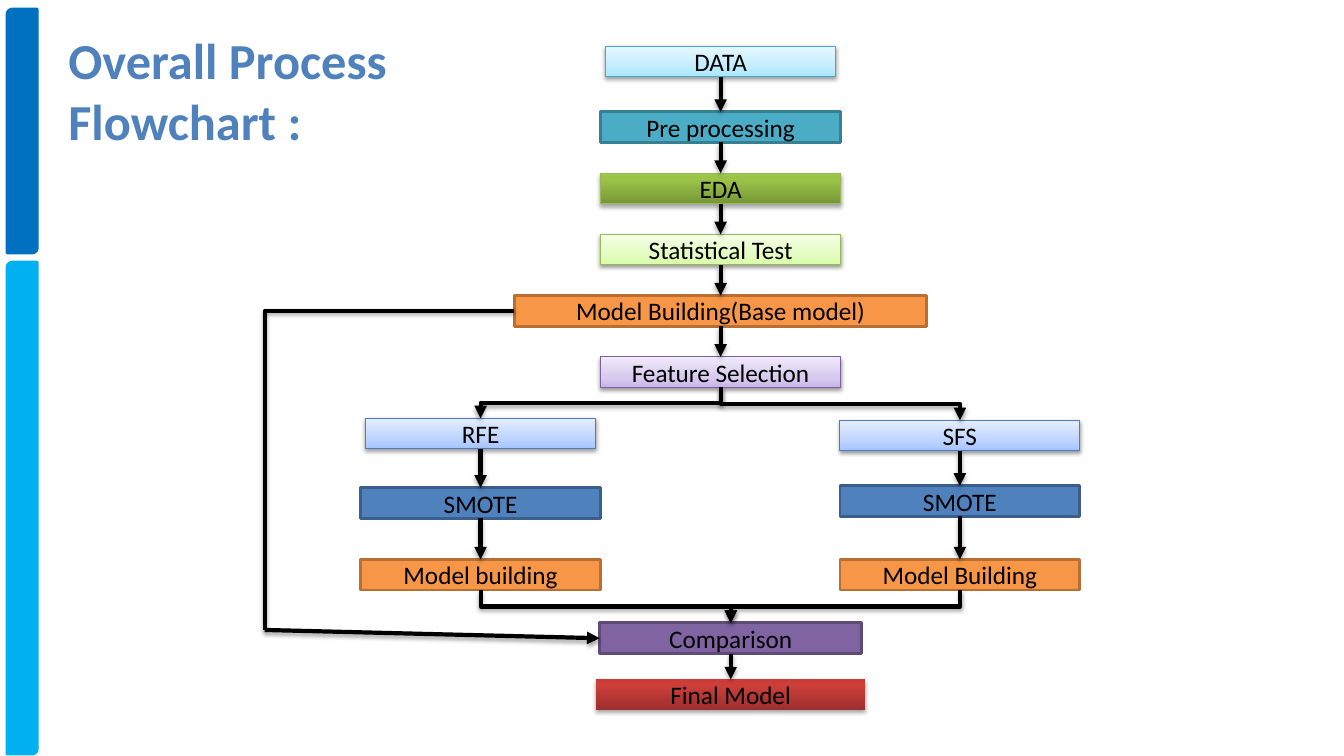
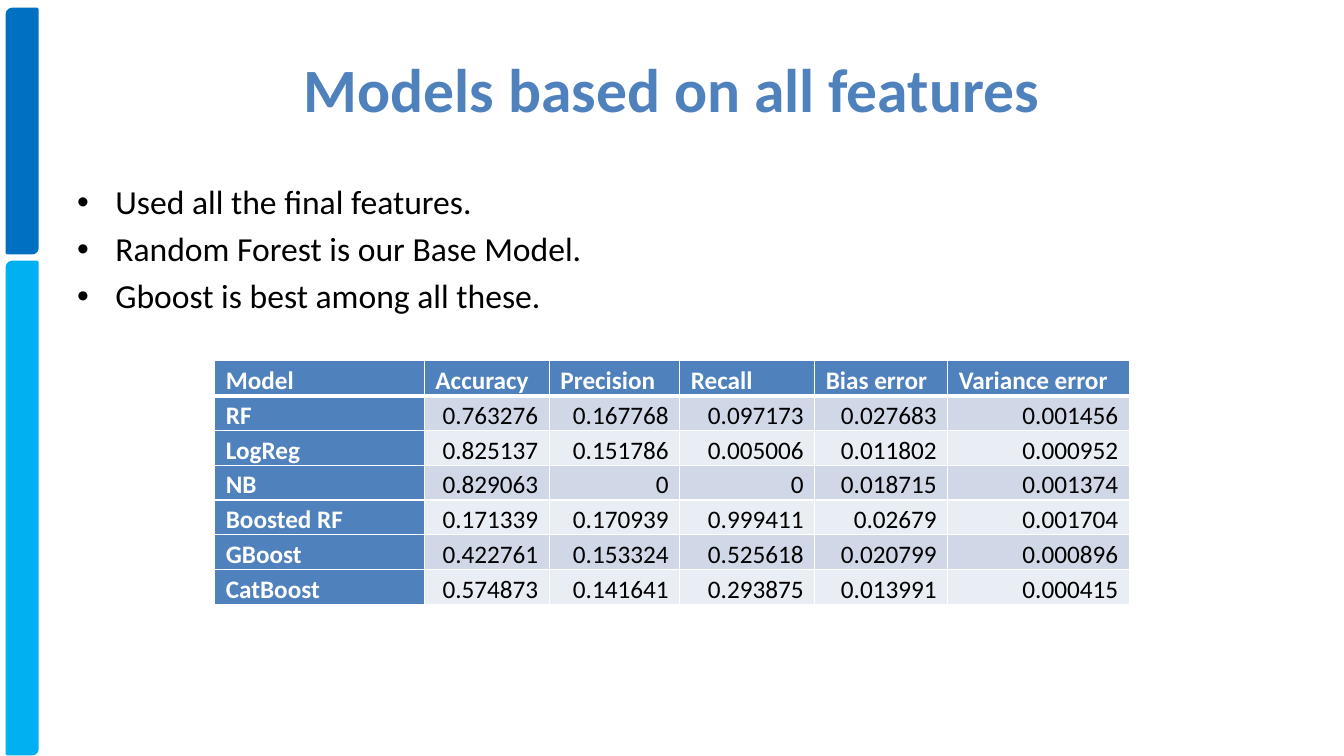
from copy import deepcopy
from dataclasses import dataclass
from typing import Any, NamedTuple, Optional

from lxml.etree import SubElement
from pptx import Presentation
from pptx.dml.color import RGBColor
from pptx.enum.shapes import MSO_CONNECTOR, MSO_SHAPE
from pptx.enum.text import MSO_ANCHOR, PP_ALIGN
from pptx.oxml.ns import qn
from pptx.util import Emu, Inches, Pt

WIDE, HIGH = Inches(13.33), Inches(7.5)
FONT = "Calibri"
HUES = {
    "black": "000000", "white": "FFFFFF", "title": "4F81BD",
    "bar": "0070C0", "sky": "00B0F0", "dark": "D0D8E8", "light": "E9EDF4",
    "teal": "4BACC6", "teal edge": "377F92",
    "orange": "F79646", "orange edge": "B76F34",
    "blue": "4F81BD", "blue edge": "3A5F8C",
    "plum": "8064A2", "plum edge": "5F4A78",
    "aqua low": "A7E6FF", "aqua mid": "C1EDFF", "aqua top": "E7F8FF", "aqua edge": "46AAC5",
    "green low": "779737", "green mid": "9BC348", "green top": "9DC746", "green edge": "98B955",
    "lime low": "DAFDA7", "lime mid": "E4FCC2", "lime top": "F5FFE7", "lime edge": "98B955",
    "lilac low": "C9B5E8", "lilac mid": "D8CBEE", "lilac top": "F0EAF9", "lilac edge": "7D60A0",
    "pale low": "A4C4FF", "pale mid": "BFD4FF", "pale top": "E6EEFF", "pale edge": "4B7EBC",
    "red low": "9C2F2D", "red mid": "CB3E3A", "red top": "CE3B37",
}
STRONG = {"green", "red"}
TALL = 4.05


class Spot(NamedTuple):
    x: int
    y: int


@dataclass(frozen=True)
class Box:
    text: str
    hue: str
    mid: float
    top: float
    wide: float = 17.85

    @property
    def head(self) -> Spot:
        return Spot(col(self.mid), row(self.top))

    @property
    def foot(self) -> Spot:
        return Spot(col(self.mid), row(self.top + TALL))

    @property
    def left(self) -> Spot:
        return Spot(col(self.mid - self.wide / 2), row(self.top + TALL / 2))


@dataclass(frozen=True)
class Bar:
    hue: str
    top: float
    tall: float


def col(share: float) -> Emu:
    return Emu(round(WIDE * share / 100))


def row(share: float) -> Emu:
    return Emu(round(HIGH * share / 100))


def hue(name: str) -> RGBColor:
    return RGBColor.from_string(HUES[name])


def put(item: Any, vals: dict[str, Any]) -> None:
    for key, val in vals.items():
        setattr(item, key, val)


def write(line: Any, text: str, size: float, ink: str, bold: bool = False, **form: Any) -> None:
    put(line, form)
    run = line.add_run()
    run.text = text
    put(run.font, {"name": FONT, "size": Pt(size), "bold": bold})
    run.font.color.rgb = hue(ink)


def shade(shape: Any, alpha: int = 0, gap: float = 0) -> None:
    list_ = SubElement(shape._element.spPr, qn("a:effectLst"))
    if alpha:
        cast = SubElement(list_, qn("a:outerShdw"), blurRad=str(Pt(3.1)), dist=str(Pt(gap)),
                          dir="5400000", rotWithShape="0")
        ink = SubElement(cast, qn("a:srgbClr"), val=HUES["black"])
        SubElement(ink, qn("a:alpha"), val=str(alpha * 1000))


def edge(shape: Any, name: str, width: float) -> None:
    shape.line.color.rgb = hue(name)
    shape.line.width = Pt(width)


def blend(shape: Any, name: str) -> None:
    fill = shape.fill
    fill.gradient()
    fill.gradient_angle = 90
    stops = shape._element.spPr.find(".//" + qn("a:gsLst"))
    stops.append(deepcopy(stops[-1]))
    marks = (0, 0.8 if name in STRONG else 0.35, 1)
    for stop, part, mark in zip(fill.gradient_stops, ("low", "mid", "top"), marks):
        stop.color.rgb = hue(f"{name} {part}")
        stop.position = mark


def draw_bar(slide: Any, bar: Bar) -> None:
    shape = slide.shapes.add_shape(MSO_SHAPE.ROUND_2_DIAG_RECTANGLE,
                                   col(0.53), row(bar.top), col(2.25), row(bar.tall))
    shape.fill.solid()
    shape.fill.fore_color.rgb = hue(bar.hue)
    edge(shape, bar.hue, 2)
    shade(shape)


def draw_box(slide: Any, box: Box) -> None:
    shape = slide.shapes.add_shape(MSO_SHAPE.RECTANGLE, box.left.x, box.head.y,
                                   col(box.wide), row(TALL))
    soft = f"{box.hue} low" in HUES
    if soft:
        blend(shape, box.hue)
    else:
        shape.fill.solid()
        shape.fill.fore_color.rgb = hue(box.hue)
    rim = f"{box.hue} edge"
    if rim in HUES:
        edge(shape, rim, 0.75 if soft else 2)
    else:
        shape.line.fill.background()
    if box.hue in STRONG:
        shade(shape, 35, 1.8)
    else:
        shade(shape, 38 if soft else 0, 1.6)
    frame = shape.text_frame
    frame.vertical_anchor = MSO_ANCHOR.MIDDLE
    write(frame.paragraphs[0], box.text, 18, "black", alignment=PP_ALIGN.CENTER)


def draw_line(slide: Any, start: Spot, end: Spot, kind: Any = MSO_CONNECTOR.STRAIGHT,
              turn: float = 0, tip: bool = True) -> Any:
    line = slide.shapes.add_connector(kind, *start, *end)
    line.rotation = turn
    edge(line, "black", 3)
    if tip:
        SubElement(line.line._get_or_add_ln(), qn("a:tailEnd"), type="triangle")
    shade(line, 35, 1.8)
    return line


def draw_fork(slide: Any, start: Spot, end: Spot) -> None:
    x, y = (start.x + end.x) // 2, (start.y + end.y) // 2
    side = 1 if end.x > start.x else -1
    half, span = side * (end.y - start.y) // 2, abs(end.x - start.x) // 2
    draw_line(slide, Spot(x + half, y - span), Spot(x - half, y + span),
              MSO_CONNECTOR.ELBOW, 270 if side > 0 else 90)


def draw_text(slide: Any, left: float, top: float, wide: float, tall: float,
              pin: Any = MSO_ANCHOR.TOP) -> Any:
    frame = slide.shapes.add_textbox(col(left), row(top), col(wide), row(tall)).text_frame
    put(frame, {"word_wrap": True, "vertical_anchor": pin})
    return frame


def draw_title(slide: Any, text: str, size: float, area: tuple[float, ...], pin: Any,
               side: Optional[Any] = None) -> None:
    frame = draw_text(slide, *area, pin)
    write(frame.paragraphs[0], text, size, "title", True, alignment=side)


def draw_points(slide: Any, points: list[str]) -> None:
    frame = draw_text(slide, 5, 23.33, 90, 66)
    for rank, text in enumerate(points):
        line = frame.add_paragraph() if rank else frame.paragraphs[0]
        write(line, text, 24, "black", space_before=Pt(4.8))
        form = line._p.get_or_add_pPr()
        form.set("marL", str(Inches(0.38)))
        form.set("indent", str(-Inches(0.38)))
        SubElement(form, qn("a:buFont"), typeface="Arial")
        SubElement(form, qn("a:buChar"), char="•")


def draw_cell(cell: Any, text: str, down: int, across: int) -> None:
    form = cell._tc.get_or_add_tcPr()
    thick = {"T": down == 1, "B": down == 0}
    for side in "LRTB":
        rule = SubElement(form, qn(f"a:ln{side}"), w=str(Pt(3 if thick.get(side) else 1)))
        paint = SubElement(rule, qn("a:solidFill"))
        SubElement(paint, qn("a:srgbClr"), val=HUES["white"])
    lead = down == 0 or across == 0
    cell.fill.solid()
    cell.fill.fore_color.rgb = hue("blue" if lead else "dark" if down % 2 else "light")
    put(cell, {"margin_left": Inches(0.11), "margin_right": Inches(0.11), "margin_top": 0,
               "margin_bottom": 0, "vertical_anchor": MSO_ANCHOR.BOTTOM})
    write(cell.text_frame.paragraphs[0], text, 18, "white" if lead else "black", lead,
          alignment=PP_ALIGN.LEFT if lead else PP_ALIGN.RIGHT, line_spacing=1.15,
          space_before=Pt(5), space_after=Pt(10))


def draw_table(slide: Any, rows: list[tuple[str, ...]], spans: list[float]) -> None:
    table = slide.shapes.add_table(len(rows), len(spans), col(15.98), row(47.73),
                                   col(sum(spans)), row(30.27)).table
    put(table, {"first_col": True, "horz_banding": False})
    for part, span in zip(table.columns, spans):
        part.width = col(span)
    for down, texts in enumerate(rows):
        for across, text in enumerate(texts):
            draw_cell(table.cell(down, across), text, down, across)


BARS = [Bar("bar", 1.2, 32.27), Bar("sky", 34.67, 65.07)]
TRUNK, WEST, EAST, JOIN = 53.62, 35.76, 71.42, 54.37
STEP = [14.8 + 8.1 * rank for rank in range(5)]
FLOW = {
    "data": Box("DATA", "aqua", TRUNK, 6.13, 17.1),
    "prep": Box("Pre processing", "teal", TRUNK, STEP[0]),
    "eda": Box("EDA", "green", TRUNK, STEP[1]),
    "test": Box("Statistical Test", "lime", TRUNK, STEP[2]),
    "base": Box("Model Building(Base model)", "orange", TRUNK, STEP[3], 30.68),
    "pick": Box("Feature Selection", "lilac", TRUNK, STEP[4]),
    "rfe": Box("RFE", "pale", WEST, 55.33, 17.1),
    "sfs": Box("SFS", "pale", EAST, 55.6),
    "west": Box("SMOTE", "blue", WEST, 64.53),
    "east": Box("SMOTE", "blue", EAST, 64.27),
    "left": Box("Model building", "orange", WEST, 74),
    "right": Box("Model Building", "orange", EAST, 74),
    "match": Box("Comparison", "plum", JOIN, 82.4, 19.5),
    "final": Box("Final Model", "red", JOIN, 89.87, 20.03),
}
CHAINS = [
    ("data", "prep", "eda", "test", "base", "pick", "rfe", "west", "left", "match", "final"),
    ("pick", "sfs", "east", "right", "match"),
]
POINTS = ["Used all the final features.", "Random Forest is our Base Model.",
          "Gboost is best among all these."]
SCORES = [
    ("Model", "Accuracy", "Precision", "Recall", "Bias error", "Variance error"),
    ("RF", "0.763276", "0.167768", "0.097173", "0.027683", "0.001456"),
    ("LogReg", "0.825137", "0.151786", "0.005006", "0.011802", "0.000952"),
    ("NB", "0.829063", "0", "0", "0.018715", "0.001374"),
    ("Boosted RF", "0.171339", "0.170939", "0.999411", "0.02679", "0.001704"),
    ("GBoost", "0.422761", "0.153324", "0.525618", "0.020799", "0.000896"),
    ("CatBoost", "0.574873", "0.141641", "0.293875", "0.013991", "0.000415"),
]
SPANS = [15.6, 9.3, 9.7, 10.05, 9.9, 13.5]


def new_slide(deck: Any) -> Any:
    slide = deck.slides.add_slide(deck.slide_layouts[6])
    for bar in BARS:
        draw_bar(slide, bar)
    return slide


def flow_slide(deck: Any) -> None:
    slide = new_slide(deck)
    for box in FLOW.values():
        draw_box(slide, box)
    for chain in CHAINS:
        for start, end in zip(chain, chain[1:]):
            one, two = FLOW[start], FLOW[end]
            draw = draw_line if one.mid == two.mid else draw_fork
            draw(slide, one.foot, two.head)
    turn = Spot(col(19.7), row(83.33))
    bend = draw_line(slide, turn, FLOW["base"].left, MSO_CONNECTOR.ELBOW, 180, False)
    bend._element.spPr.find(qn("a:prstGeom")).set("prst", "bentConnector2")
    draw_line(slide, turn, FLOW["match"].left)
    draw_title(slide, "Overall Process Flowchart :", 36, (4.35, 3.2, 33.9, 17.47),
               MSO_ANCHOR.TOP)


def score_slide(deck: Any) -> None:
    slide = new_slide(deck)
    draw_title(slide, "Models based on all features", 44, (5, 3.33, 90, 16.67),
               MSO_ANCHOR.MIDDLE, PP_ALIGN.CENTER)
    draw_points(slide, POINTS)
    draw_table(slide, SCORES, SPANS)


deck = Presentation()
put(deck, {"slide_width": WIDE, "slide_height": HIGH})
flow_slide(deck)
score_slide(deck)
deck.save("out.pptx")
